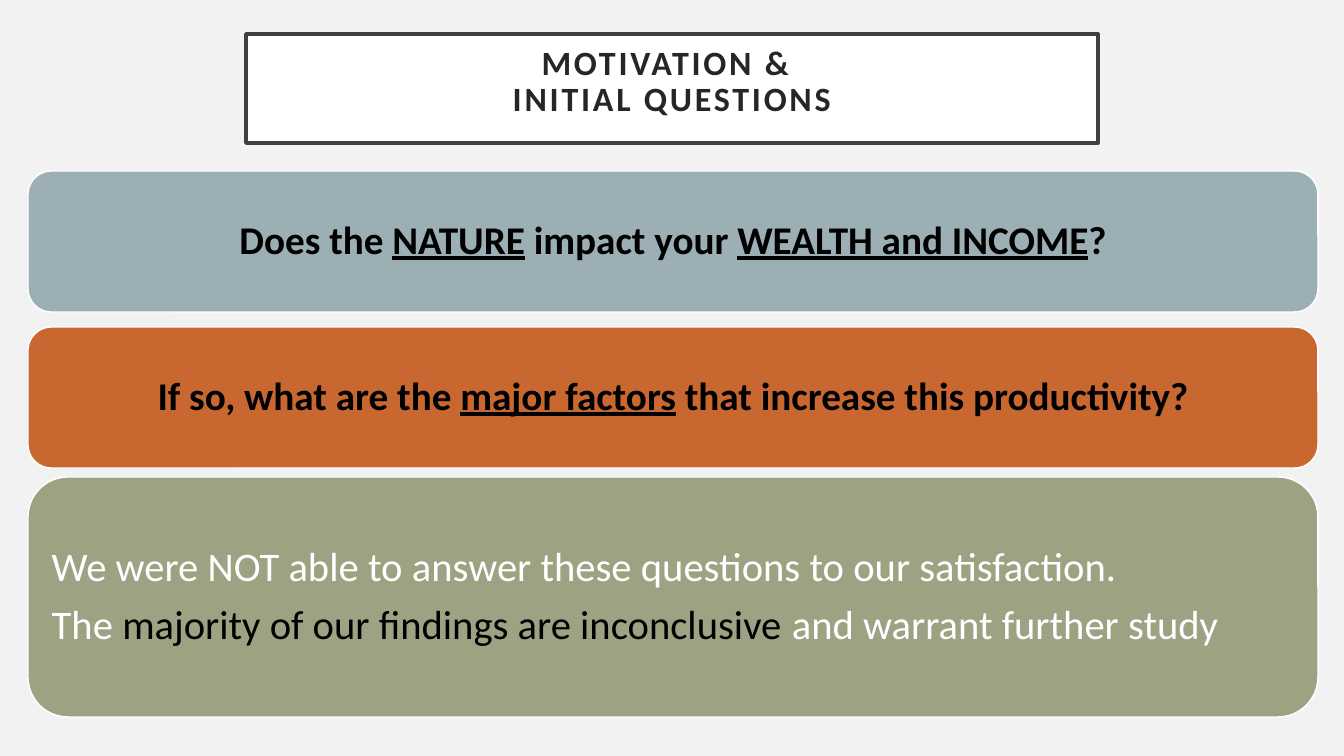
from copy import deepcopy

from pptx import Presentation
from pptx.dml.color import RGBColor
from pptx.enum.shapes import MSO_SHAPE
from pptx.enum.text import MSO_ANCHOR, MSO_AUTO_SIZE, PP_ALIGN
from pptx.util import Emu, Pt

ROUND = MSO_SHAPE.ROUNDED_RECTANGLE
MIDDLE = MSO_ANCHOR.MIDDLE
FIXED = MSO_AUTO_SIZE.NONE
CENTER, LEFT = PP_ALIGN.CENTER, PP_ALIGN.LEFT

COLORS = {
    "back": "F2F2F2", "white": "FFFFFF", "black": "000000",
    "edge": "404040", "title": "262626",
    "blue": "9BAFB5", "rust": "C96731", "sage": "9CA383",
}
FONT = "Calibri"


def px(count):
    return Emu(round(count * 914400 / 100.8))


def color(name):
    return RGBColor.from_string(COLORS[name])


deck = Presentation()
deck.slide_width, deck.slide_height = px(1344), px(756)
slide = deck.slides.add_slide(deck.slide_layouts[5])
slide.background.fill.solid()
slide.background.fill.fore_color.rgb = color("back")

# Title in a framed box
title = slide.shapes.title
title.left, title.top, title.width, title.height = px(246), px(34), px(852), px(109)
title.fill.solid()
title.fill.fore_color.rgb = color("white")
title.line.color.rgb = color("edge")
title.line.width = Pt(2.5)
frame = title.text_frame
frame.auto_size = FIXED
frame.word_wrap = True
frame.vertical_anchor = MIDDLE
frame.margin_left = frame.margin_right = px(20)
frame.margin_top, frame.margin_bottom = px(0), px(12)
para = frame.paragraphs[0]
para.alignment = CENTER
para.line_spacing = 0.9
for row, text in enumerate(["MOTIVATION & ", "INITIAL QUESTIONS"]):
    if row:
        para.add_line_break()
        para._p[-1].append(deepcopy(props))
    run = para.add_run()
    run.text = text
    run.font.name, run.font.size, run.font.bold = FONT, Pt(24.3), True
    run.font.color.rgb = color("title")
    props = run._r.get_or_add_rPr()
    props.set("spc", "200")

# Each panel: top, height, fill, alignment, size, bold, paragraphs
# Each run: text, color, underline
panels = [
    (171, 141, "blue", CENTER, 28, True, [[
        ("Does the ", "black", False),
        ("NATURE", "black", True),
        (" impact your ", "black", False),
        ("WEALTH and INCOME", "black", True),
        ("?", "black", False),
    ]]),
    (327, 141, "rust", CENTER, 28, True, [[
        ("If so, what are the ", "black", False),
        ("major factors", "black", True),
        (" that increase this productivity?", "black", False),
    ]]),
    (477, 240, "sage", LEFT, 29, False, [
        [("We were NOT able to answer these questions to our satisfaction.",
          "white", False)],
        [("The ", "white", False),
         ("majority of our findings are inconclusive ", "black", False),
         ("and warrant further study", "white", False)],
    ]),
]

for top, height, fill, align, size, bold, paras in panels:
    panel = slide.shapes.add_shape(ROUND, px(28), px(top), px(1290), px(height))
    panel.shadow.inherit = False
    panel.fill.solid()
    panel.fill.fore_color.rgb = color(fill)
    panel.line.color.rgb = color("white")
    panel.line.width = Pt(1)
    frame = panel.text_frame
    frame.word_wrap = True
    frame.vertical_anchor = MIDDLE
    frame.margin_left = frame.margin_right = px(12)
    frame.margin_top = frame.margin_bottom = px(12)
    for row, runs in enumerate(paras):
        para = frame.add_paragraph() if row else frame.paragraphs[0]
        para.alignment = align
        para.line_spacing = 0.9
        para.space_before = Pt(10 if row else 0)
        for text, ink, under in runs:
            run = para.add_run()
            run.text = text
            run.font.name, run.font.size, run.font.bold = FONT, Pt(size), bold
            run.font.underline = under
            run.font.color.rgb = color(ink)

deck.save("out.pptx")
